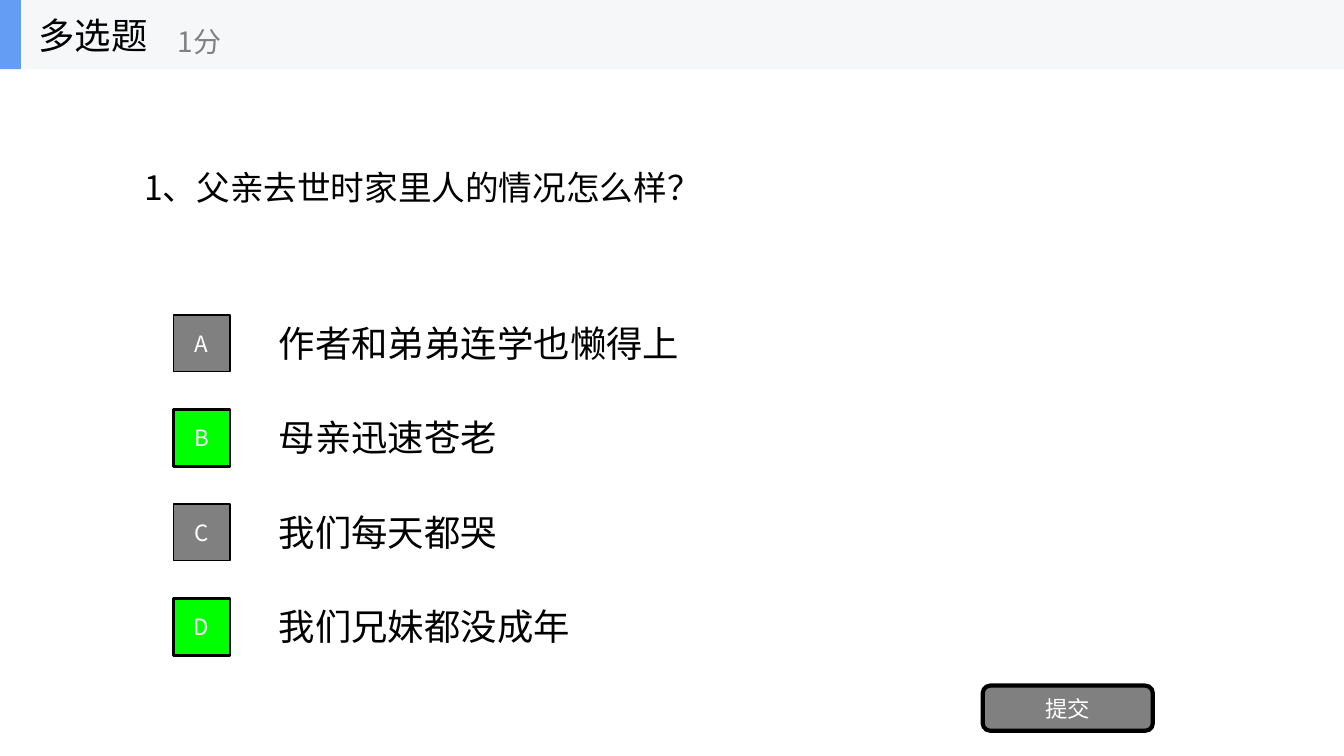
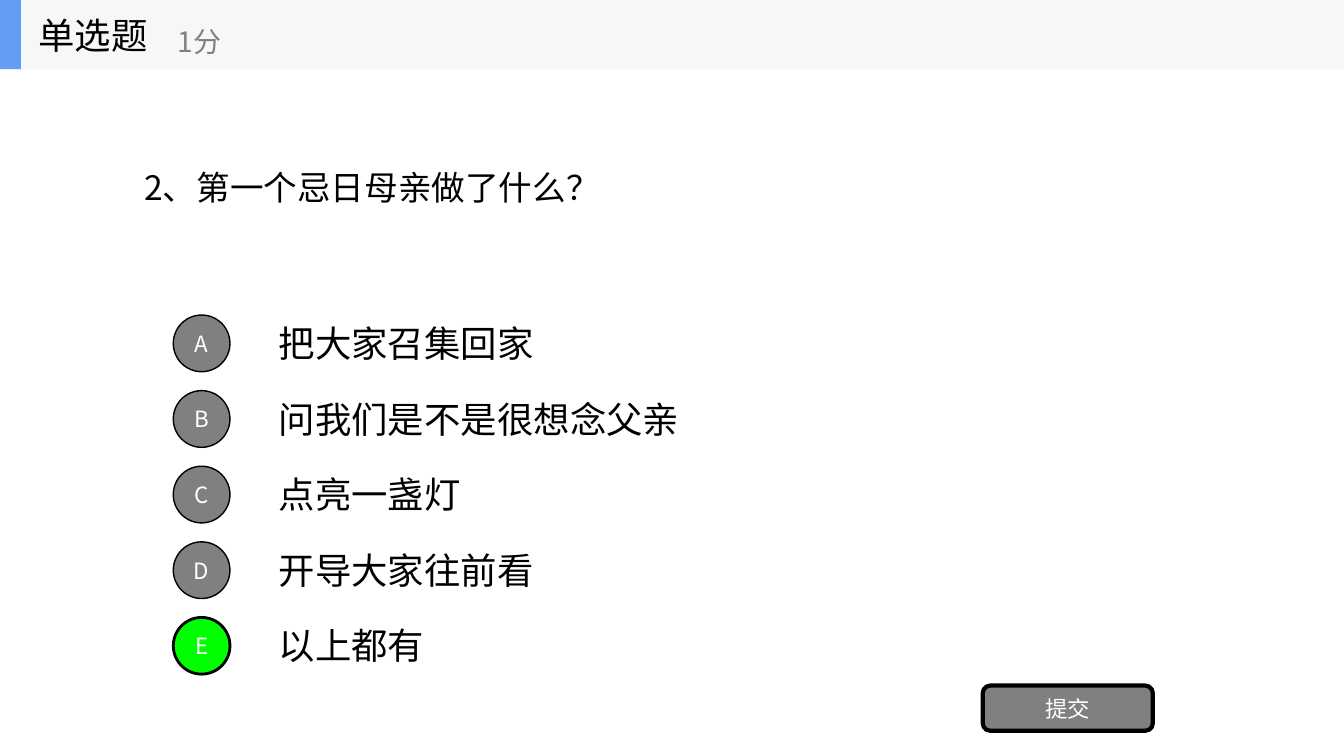
from dataclasses import dataclass

from lxml import etree
from pptx import Presentation
from pptx.dml.color import RGBColor
from pptx.enum.shapes import MSO_SHAPE
from pptx.enum.text import MSO_ANCHOR, PP_ALIGN
from pptx.oxml.ns import qn
from pptx.util import Emu, Pt

RECTANGLE = MSO_SHAPE.RECTANGLE
OVAL = MSO_SHAPE.OVAL
ROUNDED = MSO_SHAPE.ROUNDED_RECTANGLE
MIDDLE = MSO_ANCHOR.MIDDLE
LEFT, CENTER = PP_ALIGN.LEFT, PP_ALIGN.CENTER

EMU_PER_PX = 9525
SLIDE_WIDTH, SLIDE_HEIGHT = 1280, 720
FONT = "Noto Sans CJK SC"
COLORS = {
    "text": "000000",
    "outline": "000000",
    "light": "FFFFFF",
    "grey": "808080",
    "correct": "00FF00",
    "band": "F6F7F8",
    "accent": "639EF4",
}

# Layout in px
HEADER_HEIGHT = 66
OPTION_TOP, OPTION_HEIGHT = 293, 67
BADGE_SIZE, BADGE_OFFSET = 54, 7


@dataclass(frozen=True)
class Box:
    left: int
    top: int
    width: int
    height: int

    def emu(self) -> list[Emu]:
        sides = (self.left, self.top, self.width, self.height)
        return [Emu(side * EMU_PER_PX) for side in sides]


@dataclass(frozen=True)
class Question:
    kind: str
    prompt: str
    options: tuple[str, ...]
    answers: str
    badge_shape: MSO_SHAPE
    pitch: int


QUESTIONS = (
    Question(
        "多选题",
        "1、父亲去世时家里人的情况怎么样？",
        ("作者和弟弟连学也懒得上", "母亲迅速苍老", "我们每天都哭", "我们兄妹都没成年"),
        "BD", RECTANGLE, 90,
    ),
    Question(
        "单选题",
        "2、第一个忌日母亲做了什么？",
        ("把大家召集回家", "问我们是不是很想念父亲", "点亮一盏灯", "开导大家往前看", "以上都有"),
        "E", OVAL, 72,
    ),
)


def write_text(shape, text: str, size: int, color: str, align=LEFT) -> None:
    frame = shape.text_frame
    frame.word_wrap = True
    frame.vertical_anchor = MIDDLE
    paragraph = frame.paragraphs[0]
    paragraph.alignment = align
    run = paragraph.add_run()
    run.text = text
    run.font.size = Pt(size)
    run.font.color.rgb = RGBColor.from_string(COLORS[color])
    run.font.name = FONT
    # East Asian typeface
    properties = run.font._element
    etree.SubElement(properties, qn("a:ea")).set("typeface", FONT)


def add_label(shapes, box: Box, text: str, size: int, color: str = "text") -> None:
    write_text(shapes.add_textbox(*box.emu()), text, size, color)


def add_panel(shapes, kind: MSO_SHAPE, box: Box, fill: str, line_width: int = 0):
    shape = shapes.add_shape(kind, *box.emu())
    shape.shadow.inherit = False
    shape.fill.solid()
    shape.fill.fore_color.rgb = RGBColor.from_string(COLORS[fill])
    if line_width:
        shape.line.color.rgb = RGBColor.from_string(COLORS["outline"])
        shape.line.width = Pt(line_width)
    else:
        shape.line.fill.background()
    return shape


def add_button(shapes, kind: MSO_SHAPE, box: Box, fill: str, line_width: int,
               text: str) -> None:
    button = add_panel(shapes, kind, box, fill, line_width)
    write_text(button, text, 16, "light", CENTER)


def add_header(slide, kind: str) -> None:
    shapes = slide.shapes.add_group_shape().shapes
    add_panel(shapes, RECTANGLE, Box(0, 0, SLIDE_WIDTH, HEADER_HEIGHT), "band")
    add_panel(shapes, RECTANGLE, Box(0, 0, 20, HEADER_HEIGHT), "accent")
    add_label(shapes, Box(27, 0, 200, HEADER_HEIGHT), kind, 26)
    add_label(shapes, Box(160, 12, 240, 54), "1分", 20, "grey")


def add_option(slide, question: Question, index: int) -> None:
    letter = "ABCDE"[index]
    correct = letter in question.answers
    top = OPTION_TOP + index * question.pitch
    add_label(slide.shapes, Box(256, top, 896, OPTION_HEIGHT),
              question.options[index], 26)
    badge = Box(165, top + BADGE_OFFSET, BADGE_SIZE, BADGE_SIZE)
    add_button(slide.shapes, question.badge_shape, badge,
               "correct" if correct else "grey", 2 if correct else 1, letter)


def add_question_slide(presentation, question: Question) -> None:
    slide = presentation.slides.add_slide(presentation.slide_layouts[6])
    add_label(slide.shapes, Box(128, HEADER_HEIGHT, 1024, 225), question.prompt, 24)
    for index in range(len(question.options)):
        add_option(slide, question, index)
    add_button(slide.shapes, ROUNDED, Box(936, 653, 162, 43), "grey", 3, "提交")
    add_header(slide, question.kind)


def main() -> None:
    presentation = Presentation()
    presentation.slide_width = Emu(SLIDE_WIDTH * EMU_PER_PX)
    presentation.slide_height = Emu(SLIDE_HEIGHT * EMU_PER_PX)
    for question in QUESTIONS:
        add_question_slide(presentation, question)
    presentation.save("out.pptx")


if __name__ == "__main__":
    main()
